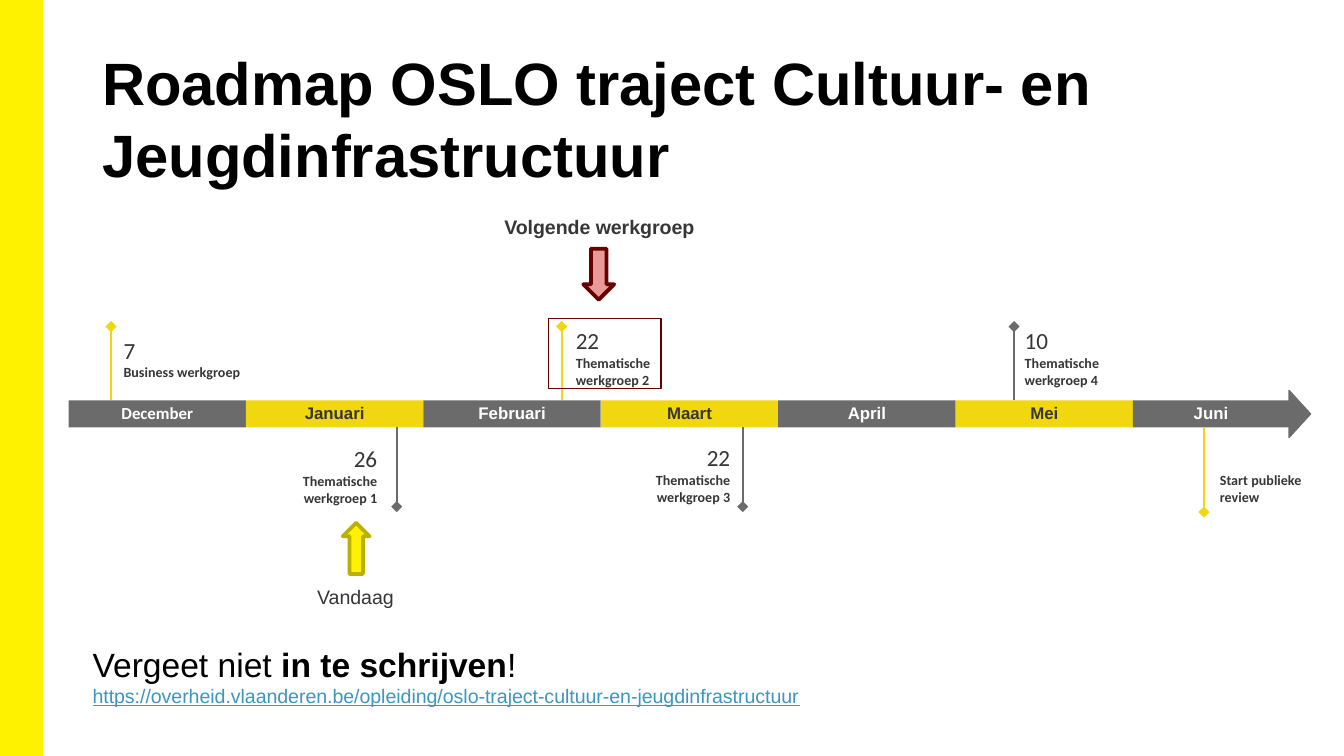
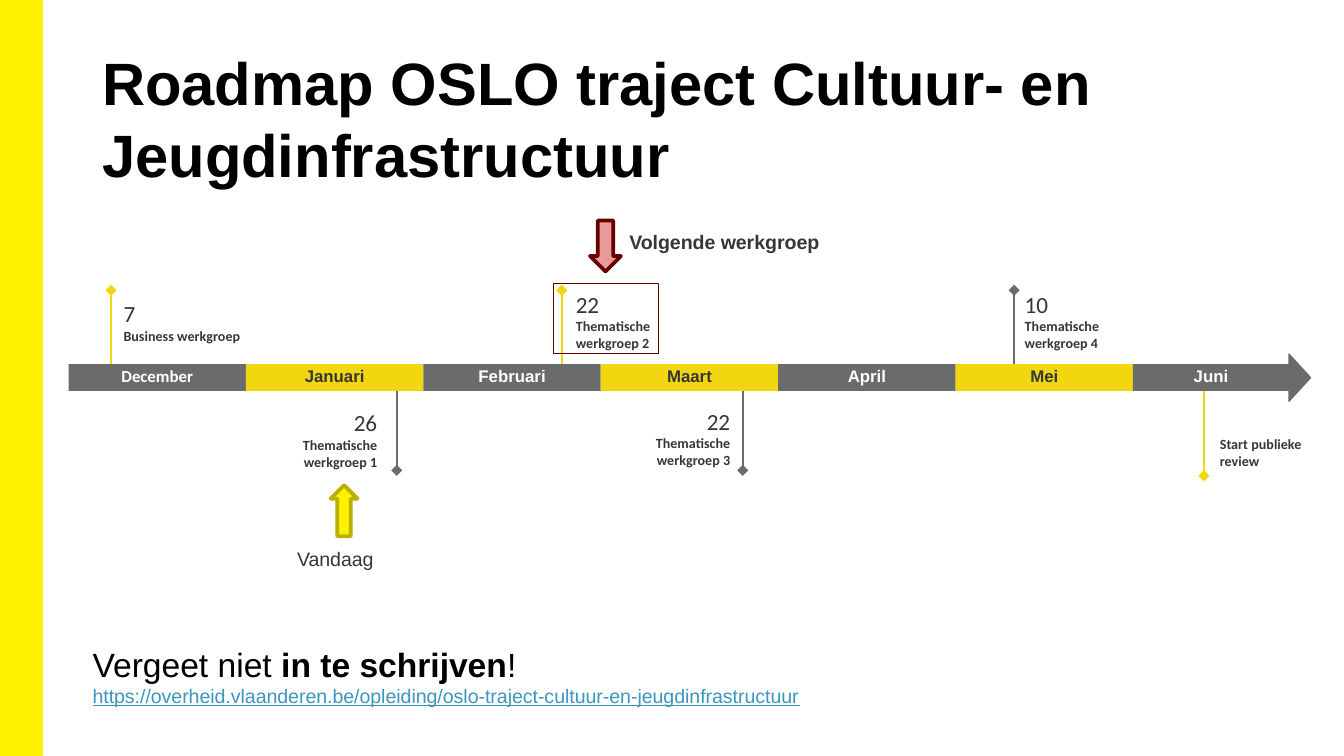
"""Build two roadmap slides with a month timeline and its callouts."""
import dataclasses

import lxml.etree
import pptx
import pptx.dml.color
import pptx.enum.shapes
import pptx.enum.text
import pptx.oxml.ns
import pptx.util

SHAPE = pptx.enum.shapes.MSO_SHAPE
ALIGN = pptx.enum.text.PP_ALIGN
ANCHOR = pptx.enum.text.MSO_ANCHOR

COLORS = {
    "band": "FFF200", "grey": "6B6B6B", "yellow": "F0D70F", "text": "373636",
    "black": "000000", "white": "FFFFFF", "link": "3C96BE", "olive": "BAB000",
    "pink": "EA9999", "maroon": "660000",
}
TITLE = "Roadmap OSLO traject Cultuur- en Jeugdinfrastructuur"
LINK = "https://overheid.vlaanderen.be/opleiding/oslo-traject-cultuur-en-jeugdinfrastructuur"

TITLE_FONT = {"size": 32, "bold": True, "color": "black"}
DAY_FONT = {"name": "Calibri", "size": 12.4}
EVENT_FONT = {"name": "Calibri", "size": 7.5, "bold": True}
CALLOUT_FONT = {"size": 10.5}

MONTHS = ["December", "Januari", "Februari", "Maart", "April", "Mei", "Juni"]
BAR_ROW = 2.75
ARROW_SHARE = 0.12
LABEL_SPAN = (0.76, 2.3)
MARKERS = [
    (0.24, 0, "yellow"), (1.85, 6.7, "grey"), (2.78, 0, "yellow"),
    (3.8, 6.7, "grey"), (5.33, 0, "grey"), (6.4, 6.9, "yellow"),
]
EVENTS = [
    (0.31, 0.35, ALIGN.LEFT, "7", ["Business werkgroep"]),
    (0.98, 4.4, ALIGN.RIGHT, "26", ["Thematische werkgroep 1"]),
    (2.86, 0, ALIGN.LEFT, "22", ["Thematische werkgroep 2"]),
    (2.97, 4.35, ALIGN.RIGHT, "22", ["Thematische werkgroep 3"]),
    (5.39, 0, ALIGN.LEFT, "10", ["Thematische werkgroep 4"]),
    (6.49, 5.4, ALIGN.LEFT, None, ["Start publieke", "review"]),
]
ROADMAPS = [
    {"timeline_row": 24.3, "frame": (40.8, 23.7, 8.4, 5.2),
     "next_arrow": (43.4, 18.5), "next_label": (37.4, 15.6),
     "today_arrow": (25.5, 38.9), "today_label": (20.4, 43.5)},
    {"timeline_row": 21.6, "frame": (41.2, 21.1, 7.8, 5.2),
     "next_arrow": (43.9, 16.4), "next_label": (46.7, 16.7),
     "today_arrow": (24.6, 36.1), "today_label": (18.9, 40.7)},
]


@dataclasses.dataclass
class Grid:
    """A box in inches, divided into columns and rows."""
    left: float
    top: float
    width: float
    height: float
    columns: float = 1
    rows: float = 1

    def point(self, column, row):
        """Return the inches at a column and row."""
        return (self.left + column * self.width / self.columns,
                self.top + row * self.height / self.rows)

    def area(self, column, row, column_span, row_span):
        """Return left, top, width and height of a span of cells."""
        return (*self.point(column, row), column_span * self.width / self.columns,
                row_span * self.height / self.rows)


PAGE = Grid(0, 0, 10, 10 * 9 / 16, 100, 100 * 9 / 16)


def inches(values):
    """Convert numbers to inch lengths."""
    return [pptx.util.Inches(value) for value in values]


def rgb(name):
    """Look up a named colour."""
    return pptx.dml.color.RGBColor.from_string(COLORS[name])


def set_attributes(target, values):
    """Set each attribute of a target from a dict."""
    for name, value in values.items():
        setattr(target, name, value)


def set_font(font, values):
    """Apply a font format over the shared defaults."""
    values = {"name": "Arial", "bold": False, "color": "text", **values}
    font.color.rgb = rgb(values.pop("color"))
    values["size"] = pptx.util.Pt(values["size"])
    set_attributes(font, values)


def write_text(shape, paragraphs, align=ALIGN.LEFT, anchor=ANCHOR.TOP, insets=(0, 0, 0, 0)):
    """Fill a shape with paragraphs, each a list of text and format pairs."""
    frame = shape.text_frame
    sides = ("margin_left", "margin_top", "margin_right", "margin_bottom")
    set_attributes(frame, {"word_wrap": True, "vertical_anchor": anchor,
                           **dict(zip(sides, inches(insets)))})
    for index, runs in enumerate(paragraphs):
        paragraph = frame.add_paragraph() if index else frame.paragraphs[0]
        paragraph.alignment = align
        for text, values in runs:
            run = paragraph.add_run()
            run.text = text
            set_font(run.font, values)


def add_text(slide, area, paragraphs, **layout):
    """Add a text box."""
    box = slide.shapes.add_textbox(*inches(area))
    write_text(box, paragraphs, **layout)
    return box


def add_box(slide, kind, area, fill=None, line=None, weight=1):
    """Add a preset shape with optional fill and outline."""
    shape = slide.shapes.add_shape(kind, *inches(area))
    shape.shadow.inherit = False
    if fill:
        shape.fill.solid()
        shape.fill.fore_color.rgb = rgb(fill)
    else:
        shape.fill.background()
    if line:
        shape.line.color.rgb = rgb(line)
        shape.line.width = pptx.util.Pt(weight)
    else:
        shape.line.fill.background()
    return shape


def add_marker(slide, start, end, color):
    """Add a timeline marker with a diamond at its start."""
    marker = slide.shapes.add_connector(
        pptx.enum.shapes.MSO_CONNECTOR.STRAIGHT, *inches((*start, *end)))
    marker.line.color.rgb = rgb(color)
    marker.line.width = pptx.util.Pt(1)
    qualify = pptx.oxml.ns.qn
    lxml.etree.SubElement(marker.get_or_add_ln(), qualify("a:headEnd"), type="diamond")
    lxml.etree.SubElement(marker.element.spPr, qualify("a:effectLst"))


def add_band(layout, slide):
    """Put the side band on the layout that the slides share."""
    band = add_box(slide, SHAPE.RECTANGLE, PAGE.area(0, 0, 3.1, PAGE.rows), "band", "band")
    band.element.nvSpPr.cNvPr.set("id", "99")
    layout.shapes.element.append(band.element)


def add_title(slide, area):
    """Move, fill and format the title placeholder."""
    title = slide.shapes.title
    set_attributes(title, dict(zip(("left", "top", "width", "height"), inches(area))))
    write_text(title, [[(TITLE, TITLE_FONT)]], insets=(0.07, 0.04, 0.07, 0.04))
    title.text_frame.auto_size = pptx.enum.text.MSO_AUTO_SIZE.NONE


def add_months(slide, grid):
    """Add the arrow head and the row of month bars."""
    center_x, center_y = grid.point(len(MONTHS) - ARROW_SHARE / 2, BAR_ROW + 0.5)
    length, depth = 0.35, 0.16
    head = add_box(slide, SHAPE.ISOSCELES_TRIANGLE,
                   (center_x - length / 2, center_y - depth / 2, length, depth),
                   "grey", "grey", 0.75)
    head.rotation = 90
    for column, month in enumerate(MONTHS):
        span = 1 - ARROW_SHARE if month == MONTHS[-1] else 1
        fill, color = (("yellow", "text") if column % 2 else ("grey", "white"))
        bar = add_box(slide, SHAPE.RECTANGLE, grid.area(column, BAR_ROW, span, 1), fill)
        font = {"name": "Arial" if column else "Calibri", "size": 9,
                "bold": True, "color": color}
        write_text(bar, [[(month, font)]], ALIGN.CENTER, ANCHOR.MIDDLE,
                   (0.04, 0.04, 0.04, 0.06))


def add_timeline(slide, grid):
    """Add months, markers and event labels."""
    add_months(slide, grid)
    for column, row, color in MARKERS:
        bar_edge = BAR_ROW + (row > BAR_ROW)
        add_marker(slide, grid.point(column, row), grid.point(column, bar_edge), color)
    for column, row, align, day, lines in EVENTS:
        paragraphs = [[(day, DAY_FONT)]] if day else []
        paragraphs += [[(line, EVENT_FONT)] for line in lines]
        add_text(slide, grid.area(column, row, *LABEL_SPAN), paragraphs, align=align)


def add_callouts(slide, grid, places):
    """Point out today and the next working group."""
    add_box(slide, SHAPE.RECTANGLE, grid.area(*places["frame"]), None, "maroon", 0.75)
    add_box(slide, SHAPE.DOWN_ARROW, grid.area(*places["next_arrow"], 2.3, 3.8),
            "pink", "maroon", 2)
    today = add_box(slide, SHAPE.DOWN_ARROW, grid.area(*places["today_arrow"], 2, 3.8),
                    "band", "olive", 2)
    today.rotation = 180
    add_text(slide, grid.area(*places["next_label"], 14.4, 2.6),
             [[("Volgende werkgroep", {**CALLOUT_FONT, "bold": True})]],
             align=ALIGN.CENTER, anchor=ANCHOR.MIDDLE)
    add_text(slide, grid.area(*places["today_label"], 12.1, 2.6),
             [[("Vandaag", CALLOUT_FONT)]], align=ALIGN.CENTER)


def add_invitation(slide, area):
    """Add the call to register with its web address."""
    plain = {"size": 18, "color": "black"}
    link = {"size": 10.5, "color": "link", "underline": True}
    box = add_text(slide, area, [
        [("Vergeet niet ", plain), ("in te schrijven", {**plain, "bold": True}), ("!", plain)],
        [(LINK, link)],
    ], insets=[0.1] * 4)
    box.text_frame.auto_size = pptx.enum.text.MSO_AUTO_SIZE.SHAPE_TO_FIT_TEXT


def add_roadmap(slide, places):
    """Compose one roadmap slide."""
    add_title(slide, PAGE.area(6.9, 3, 86.2, 8.1))
    timeline = Grid(*PAGE.area(5.1, places["timeline_row"], 92.4, 13.8), len(MONTHS), 6.9)
    add_timeline(slide, timeline)
    add_callouts(slide, PAGE, places)
    add_invitation(slide, PAGE.area(5.9, 46.9, 56.2, 6.8))


def main():
    """Build and save the presentation."""
    presentation = pptx.Presentation()
    size = inches((PAGE.width, PAGE.height))
    set_attributes(presentation, dict(zip(("slide_width", "slide_height"), size)))
    layout = presentation.slide_layouts.get_by_name("Title Only")
    for index, places in enumerate(ROADMAPS):
        slide = presentation.slides.add_slide(layout)
        if index == 0:
            add_band(layout, slide)
        add_roadmap(slide, places)
    presentation.save("out.pptx")


if __name__ == "__main__":
    main()
